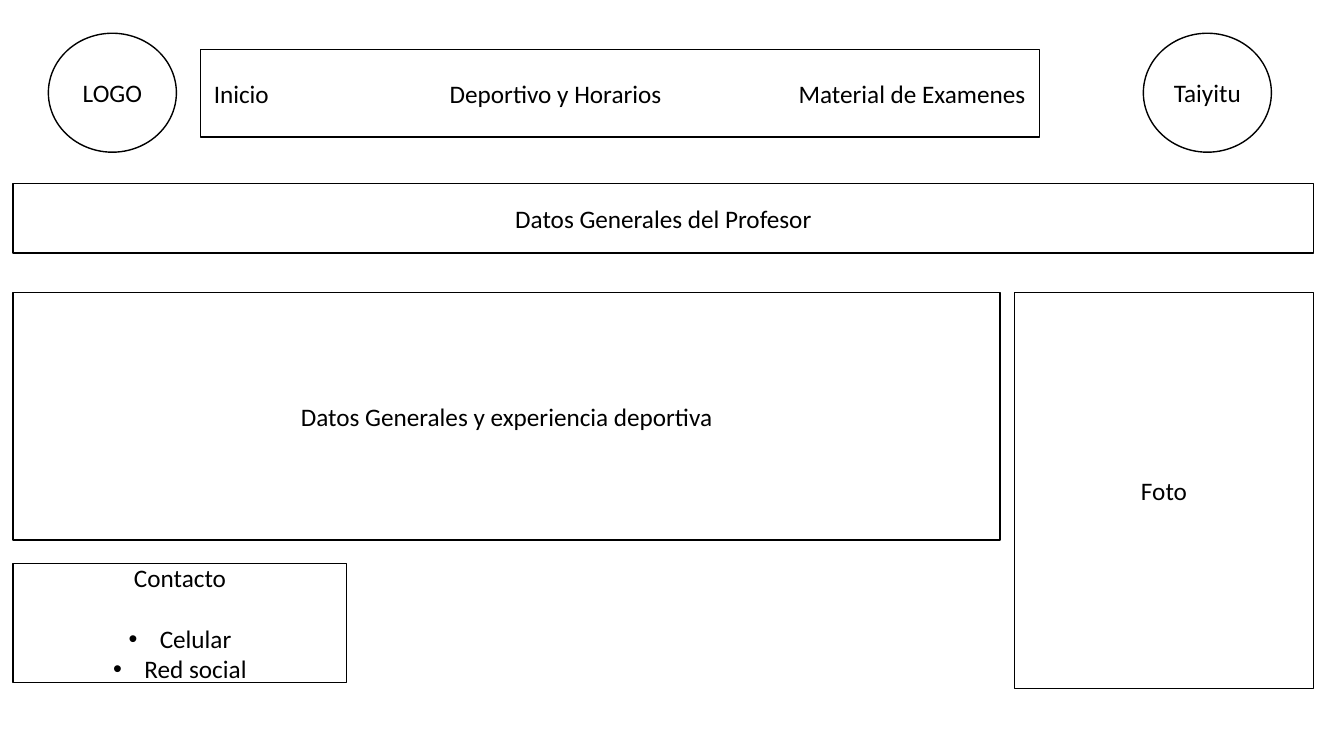
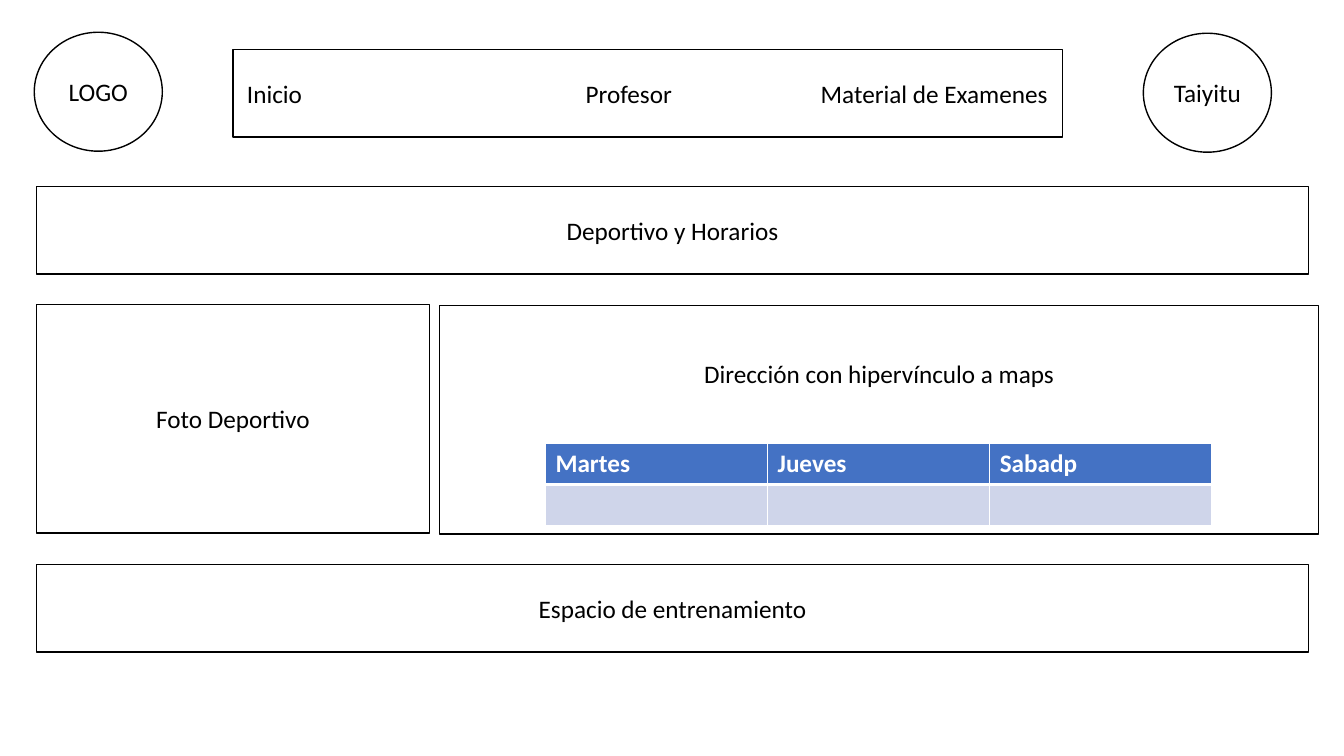
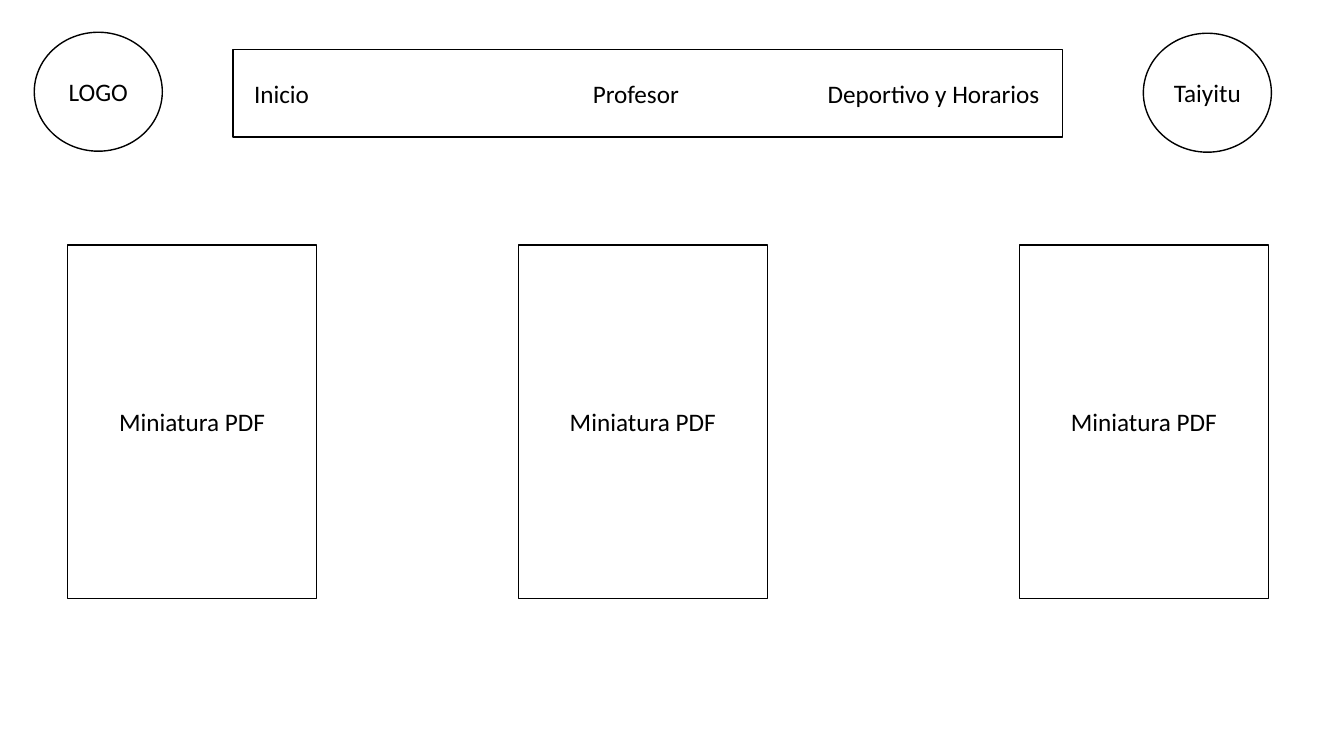
from lxml.etree import SubElement
from pptx import Presentation
from pptx.dml.color import RGBColor
from pptx.enum.shapes import MSO_SHAPE as Preset
from pptx.enum.text import MSO_ANCHOR as Anchor, PP_ALIGN as Align
from pptx.oxml import parse_xml
from pptx.oxml.ns import nsdecls, qn
from pptx.util import Inches, Pt

BLACK = RGBColor(0x00, 0x00, 0x00)
WHITE = RGBColor(0xFF, 0xFF, 0xFF)
HEADER_BLUE = RGBColor(0x44, 0x72, 0xC4)
ROW_BLUE = RGBColor(0xCF, 0xD5, 0xEA)
BODY_FONT = {"name": "Calibri", "size": Pt(18), "bold": False}
HEADER_FONT = {"name": "Calibri", "size": Pt(18), "bold": True}


def style_font(font, values, color):
    for name, value in values.items():
        setattr(font, name, value)
    font.color.rgb = color


def add_box(page, left, top, width, height, *lines, preset=Preset.RECTANGLE):
    box = page.shapes.add_shape(
        preset, Inches(left), Inches(top), Inches(width), Inches(height))
    box.shadow.inherit = False
    box.fill.solid()
    box.fill.fore_color.rgb = WHITE
    box.line.color.rgb = BLACK
    box.line.width = Pt(1)
    frame = box.text_frame
    frame.word_wrap = True
    frame.vertical_anchor = Anchor.MIDDLE
    for index, line in enumerate(lines):
        para = frame.add_paragraph() if index else frame.paragraphs[0]
        para.alignment = Align.CENTER
        span = para.add_run()
        span.text = line
        style_font(span.font, BODY_FONT, BLACK)
    return box


deck = Presentation()
deck.slide_width = Inches(13.33)
deck.slide_height = Inches(7.5)

headers = [
    {"logo": (0.48, 0.33), "menu": (1.99, 8.32), "inset": 0.13,
     "tabs": (2.34, 5.8),
     "items": ("Inicio", "Deportivo y Horarios", "Material de Examenes")},
    {"logo": (0.34, 0.32), "menu": (2.31, 8.23), "inset": 0.14,
     "tabs": (3.36, 5.69),
     "items": ("Inicio", "Profesor", "Material de Examenes")},
    {"logo": (0.34, 0.32), "menu": (2.31, 8.23), "inset": 0.21,
     "tabs": (3.36, 5.69),
     "items": ("Inicio", "Profesor", "Deportivo y Horarios")},
]
pages = []
for header in headers:
    page = deck.slides.add_slide(deck.slide_layouts[6])
    pages.append(page)
    for (left, top), label in ((header["logo"], "LOGO"), ((11.34, 0.33), "Taiyitu")):
        add_box(page, left, top, 1.27, 1.18, label,
                preset=Preset.FLOWCHART_CONNECTOR)
    left, width = header["menu"]
    menu = add_box(page, left, 0.49, width, 0.87, "\t".join(header["items"]))
    menu.text_frame.margin_left = Inches(header["inset"])
    menu.text_frame.margin_right = 0
    para = menu.text_frame.paragraphs[0]
    para.alignment = Align.LEFT
    tab_list = SubElement(para._p.get_or_add_pPr(), qn("a:tabLst"))
    for position in header["tabs"]:
        SubElement(tab_list, qn("a:tab"), pos=str(Inches(position)), algn="l")

teacher_page, schedule_page, exams_page = pages

add_box(teacher_page, 0.13, 1.82, 12.9, 0.69, "Datos Generales del Profesor")
add_box(teacher_page, 10.06, 2.9, 2.97, 3.93, "Foto")
add_box(teacher_page, 0.13, 2.9, 9.79, 2.46,
        "Datos Generales y experiencia deportiva")
contact = add_box(teacher_page, 0.13, 5.59, 3.31, 1.18,
                  "Contacto", "Celular", "Red social")
title, *channels = contact.text_frame.paragraphs
title.space_after = Pt(22)
for para in channels:
    properties = para._p.get_or_add_pPr()
    properties.set("marL", str(Inches(0.31)))
    properties.set("indent", str(-Inches(0.31)))
    SubElement(properties, qn("a:buFont"), typeface="Arial")
    SubElement(properties, qn("a:buChar"), char="•")

for top, label in ((1.85, "Deportivo y Horarios"), (5.6, "Espacio de entrenamiento")):
    add_box(schedule_page, 0.36, top, 12.62, 0.87, label)
add_box(schedule_page, 0.36, 3.02, 3.9, 2.27, "Foto Deportivo")
address = add_box(schedule_page, 4.36, 3.03, 8.72, 2.27,
                  "Dirección con hipervínculo a maps")
address.text_frame.margin_bottom = Inches(0.97)

days = ("Martes", "Jueves", "Sabadp")
table = schedule_page.shapes.add_table(
    2, len(days), Inches(5.41), Inches(4.4), Inches(6.61), Inches(0.8)).table
row_styles = (
    (HEADER_BLUE, days, {"lnL": 1, "lnR": 1, "lnT": 1, "lnB": 3}),
    (ROW_BLUE, ("",) * len(days), {"lnL": 1, "lnR": 1, "lnT": 3, "lnB": 1}),
)
for row, (fill, labels, borders) in zip(table.rows, row_styles):
    for cell, label in zip(row.cells, labels):
        cell.fill.solid()
        cell.fill.fore_color.rgb = fill
        para = cell.text_frame.paragraphs[0]
        style_font(para.font, HEADER_FONT, WHITE)
        if label:
            span = para.add_run()
            span.text = label
            style_font(span.font, HEADER_FONT, WHITE)
        properties = cell._tc.get_or_add_tcPr()
        for index, (side, points) in enumerate(borders.items()):
            properties.insert(index, parse_xml(
                f'<a:{side} {nsdecls("a")} w="{Pt(points)}"><a:solidFill>'
                f'<a:srgbClr val="{WHITE}"/></a:solidFill></a:{side}>'))

for left in (0.67, 5.14, 10.11):
    add_box(exams_page, left, 2.43, 2.47, 3.51, "Miniatura PDF")

deck.save("out.pptx")
